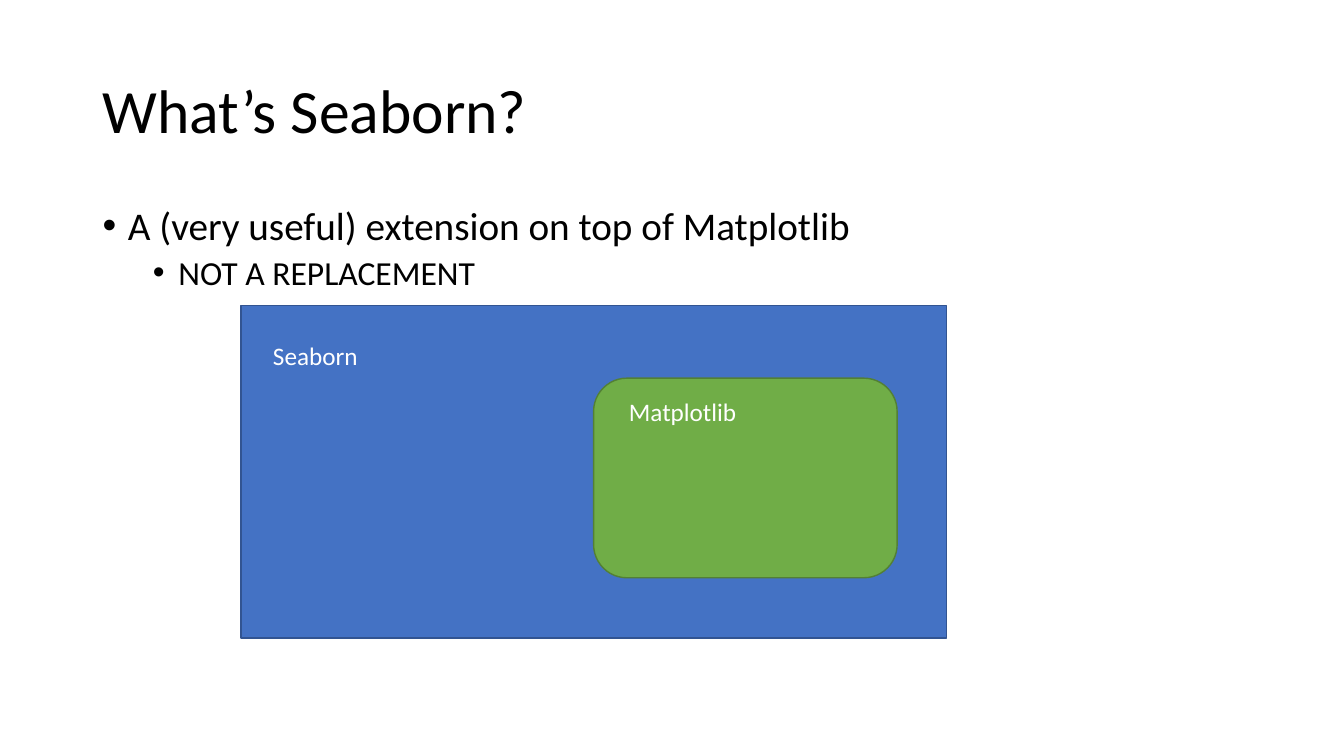
from lxml import etree
from pptx import Presentation
from pptx.dml.color import RGBColor
from pptx.enum.shapes import MSO_SHAPE
from pptx.enum.text import MSO_ANCHOR, MSO_AUTO_SIZE, PP_ALIGN
from pptx.oxml.ns import qn
from pptx.util import Cm, Pt

RECT = MSO_SHAPE.RECTANGLE
ROUND = MSO_SHAPE.ROUNDED_RECTANGLE
TOP, MIDDLE = MSO_ANCHOR.TOP, MSO_ANCHOR.MIDDLE
FIXED = MSO_AUTO_SIZE.NONE
GROW = MSO_AUTO_SIZE.SHAPE_TO_FIT_TEXT
LEFT = PP_ALIGN.LEFT

FONT = "Calibri"
COLORS = {
    "text": "000000",
    "label": "FFFFFF",
    "blue": "4472C4",
    "navy": "325491",
    "green": "70AD47",
    "moss": "538035",
}


def color(name):
    return RGBColor.from_string(COLORS[name])


def apply(target, values):
    for name, value in values.items():
        setattr(target, name, value)


def place(shape, box):
    names = ("left", "top", "width", "height")
    apply(shape, dict(zip(names, map(Cm, box))))


def write(para, text, size, tint, **values):
    run = para.add_run()
    run.text = text
    apply(run.font, {"name": FONT, "size": Pt(size)})
    run.font.color.rgb = color(tint)
    apply(para, {"alignment": LEFT, **values})


def add_bullet(para, indent):
    props = para._p.get_or_add_pPr()
    props.set("marL", str(Cm(indent)))
    props.set("indent", str(-Cm(0.64)))
    etree.SubElement(props, qn("a:buFont")).set("typeface", "Arial")
    etree.SubElement(props, qn("a:buChar")).set("char", "•")


def fill_title(shape, text, box):
    place(shape, box)
    frame = shape.text_frame
    apply(frame, {"vertical_anchor": MIDDLE, "auto_size": FIXED})
    write(frame.paragraphs[0], text, 44, "text", line_spacing=0.9)


def fill_list(shape, items, box):
    place(shape, box)
    frame = shape.text_frame
    apply(frame, {"vertical_anchor": TOP, "auto_size": FIXED})
    for level, (text, size, gap) in enumerate(items):
        para = frame.add_paragraph() if level else frame.paragraphs[0]
        write(para, text, size, "text", level=level, line_spacing=0.9,
              space_before=Pt(gap))
        add_bullet(para, 0.64 + 1.27 * level)


def add_block(slide, kind, box, fill, edge):
    shape = slide.shapes.add_shape(kind, *map(Cm, box))
    shape.shadow.inherit = False
    shape.fill.solid()
    shape.fill.fore_color.rgb = color(fill)
    shape.line.color.rgb = color(edge)
    shape.line.width = Pt(1)


def add_label(slide, text, left, top):
    box = slide.shapes.add_textbox(*map(Cm, (left, top, 6.43, 1.02)))
    apply(box.text_frame, {"word_wrap": True, "auto_size": GROW})
    write(box.text_frame.paragraphs[0], text, 18, "label")


def main():
    deck = Presentation()
    apply(deck, {"slide_width": Cm(33.87), "slide_height": Cm(19.05)})
    slide = deck.slides.add_slide(deck.slide_layouts[1])
    title, body = slide.placeholders
    fill_title(title, "What’s Seaborn?", (2.33, 1.01, 29.21, 3.68))
    items = [
        ("A (very useful) extension on top of Matplotlib", 28, 10),
        ("NOT A REPLACEMENT", 24, 5),
    ]
    fill_list(body, items, (2.33, 5.08, 29.21, 12.09))
    add_block(slide, RECT, (6.07, 7.7, 17.78, 8.38), "blue", "navy")
    add_block(slide, ROUND, (14.96, 9.53, 7.65, 5.03), "green", "moss")
    add_label(slide, "Seaborn", 6.63, 8.46)
    add_label(slide, "Matplotlib", 15.6, 9.86)
    deck.save("out.pptx")


if __name__ == "__main__":
    main()
